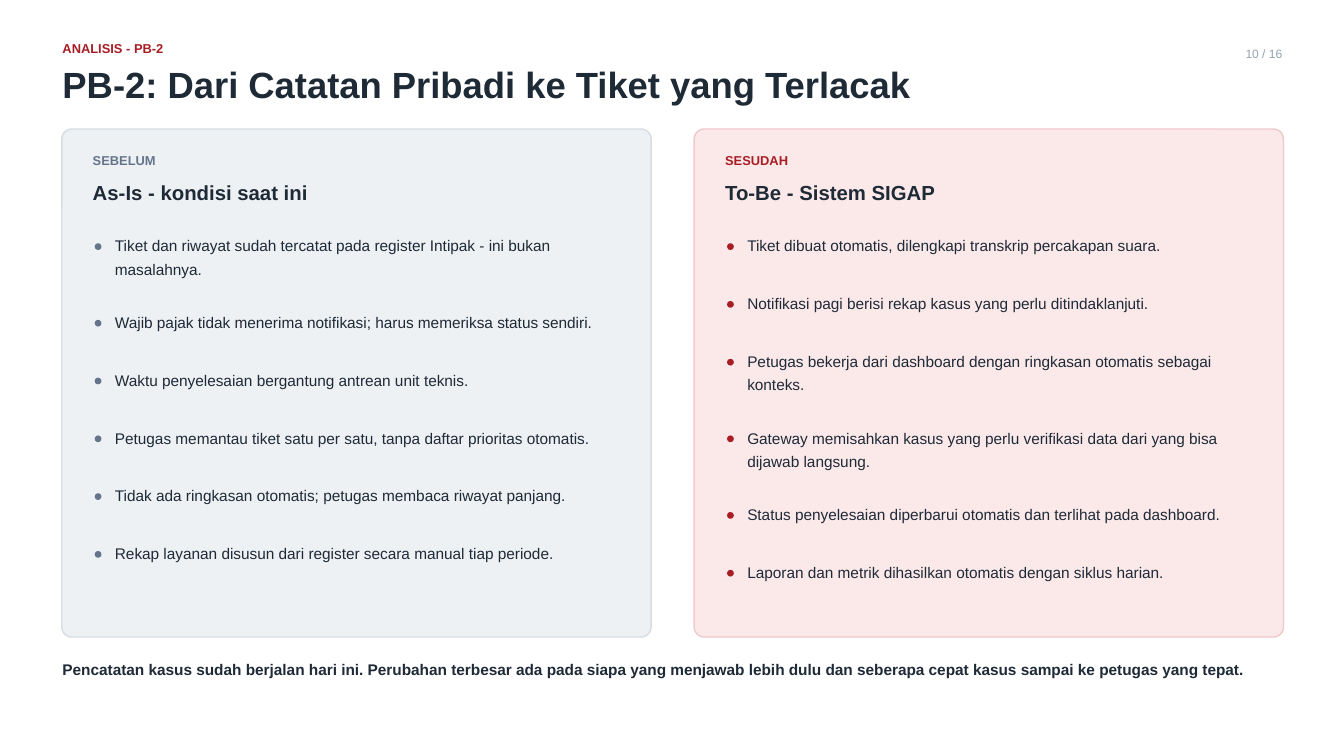
from pptx import Presentation
from pptx.dml.color import RGBColor
from pptx.enum.shapes import MSO_SHAPE
from pptx.enum.text import MSO_ANCHOR, PP_ALIGN
from pptx.util import Inches, Pt

ROUNDED, OVAL = MSO_SHAPE.ROUNDED_RECTANGLE, MSO_SHAPE.OVAL
TOP, MIDDLE = MSO_ANCHOR.TOP, MSO_ANCHOR.MIDDLE
LEFT, RIGHT = PP_ALIGN.LEFT, PP_ALIGN.RIGHT

FONT = "Arial"
INK, RED, SLATE, GRAY = "1F2A37", "A81D23", "64748B", "93A2AF"

# Card geometry, in inches
CARD_TOP, CARD_WIDTH, CARD_HEIGHT = 1.92, 8.77, 7.56
CORNER = 0.15
DOT = 0.1
ITEM_TOP, ITEM_STEP, EXTRA_LINE = 3.45, 0.86, 0.28

# Each item is a list of its lines
BEFORE = [
    ["Tiket dan riwayat sudah tercatat pada register Intipak - ini bukan",
     "masalahnya."],
    ["Wajib pajak tidak menerima notifikasi; harus memeriksa status sendiri."],
    ["Waktu penyelesaian bergantung antrean unit teknis."],
    ["Petugas memantau tiket satu per satu, tanpa daftar prioritas otomatis."],
    ["Tidak ada ringkasan otomatis; petugas membaca riwayat panjang."],
    ["Rekap layanan disusun dari register secara manual tiap periode."],
]
AFTER = [
    ["Tiket dibuat otomatis, dilengkapi transkrip percakapan suara."],
    ["Notifikasi pagi berisi rekap kasus yang perlu ditindaklanjuti."],
    ["Petugas bekerja dari dashboard dengan ringkasan otomatis sebagai",
     "konteks."],
    ["Gateway memisahkan kasus yang perlu verifikasi data dari yang bisa",
     "dijawab langsung."],
    ["Status penyelesaian diperbarui otomatis dan terlihat pada dashboard."],
    ["Laporan dan metrik dihasilkan otomatis dengan siklus harian."],
]


def color(value):
    return RGBColor.from_string(value)


def add_text(page, lines, left, top, width, height, size, spacing,
             ink=INK, bold=False, align=LEFT, anchor=TOP):
    box = page.shapes.add_textbox(Inches(left), Inches(top),
                                  Inches(width), Inches(height))
    frame = box.text_frame
    frame.word_wrap = True
    frame.vertical_anchor = anchor
    frame.margin_left = frame.margin_right = 0
    frame.margin_top = frame.margin_bottom = 0
    for index, line in enumerate(lines):
        para = frame.add_paragraph() if index else frame.paragraphs[0]
        para.alignment = align
        para.line_spacing = Pt(spacing)
        span = para.add_run()
        span.text = line
        span.font.name = FONT
        span.font.size = Pt(size)
        span.font.bold = bold
        span.font.color.rgb = color(ink)


def add_filled(page, kind, left, top, width, height, fill, border=None):
    shape = page.shapes.add_shape(kind, Inches(left), Inches(top),
                                  Inches(width), Inches(height))
    shape.shadow.inherit = False
    shape.fill.solid()
    shape.fill.fore_color.rgb = color(fill)
    if border:
        shape.line.color.rgb = color(border)
        shape.line.width = Pt(1.5)
    else:
        shape.line.fill.background()
    return shape


def add_card(page, left, label, heading, items, accent, fill, border):
    card = add_filled(page, ROUNDED, left, CARD_TOP, CARD_WIDTH, CARD_HEIGHT,
                      fill, border)
    card.adjustments[0] = CORNER / CARD_HEIGHT

    # Label and heading
    inner = left + 0.46
    add_text(page, [label], inner, 2.27, 7.85, 0.35, 13.8, 16.6, accent, True)
    add_text(page, [heading], inner, 2.64, 7.85, 0.55, 21.8, 28.7, bold=True)

    # Items flow downwards; a wrapped item takes more room
    top = ITEM_TOP
    for lines in items:
        extra = (len(lines) - 1) * EXTRA_LINE
        add_filled(page, OVAL, inner + 0.03, top + 0.17, DOT, DOT, accent)
        add_text(page, lines, inner + 0.33, top, 7.52, 0.36 + extra, 16.5, 24.8)
        top += ITEM_STEP + extra


def main():
    deck = Presentation()
    deck.slide_width, deck.slide_height = Inches(20), Inches(11.25)
    page = deck.slides.add_slide(deck.slide_layouts[6])
    page.background.fill.solid()
    page.background.fill.fore_color.rgb = color("FFFFFF")

    # Header
    add_text(page, ["ANALISIS - PB-2"], 0.93, 0.61, 18.15, 0.21, 13.8, 16.6,
             RED, True)
    add_text(page, ["PB-2: Dari Catatan Pribadi ke Tiket yang Terlacak"],
             0.93, 0.85, 18.15, 0.69, 39, 52.5, bold=True)

    # Comparison cards
    add_card(page, 0.92, "SEBELUM", "As-Is - kondisi saat ini", BEFORE,
             SLATE, "EDF1F4", "D5DDE3")
    add_card(page, 10.33, "SESUDAH", "To-Be - Sistem SIGAP", AFTER,
             RED, "FBE9EA", "EFC9CB")

    # Conclusion and page number
    add_text(page, ["Pencatatan kasus sudah berjalan hari ini. Perubahan terbesar "
                    "ada pada siapa yang menjawab lebih dulu dan seberapa cepat "
                    "kasus sampai ke petugas yang tepat."],
             0.93, 9.76, 18.15, 0.58, 16.5, 24.6, bold=True)
    add_text(page, ["10 / 16"], 17.43, 0.57, 1.65, 0.42, 12.9, 18, GRAY,
             align=RIGHT, anchor=MIDDLE)

    deck.save("out.pptx")


if __name__ == "__main__":
    main()
